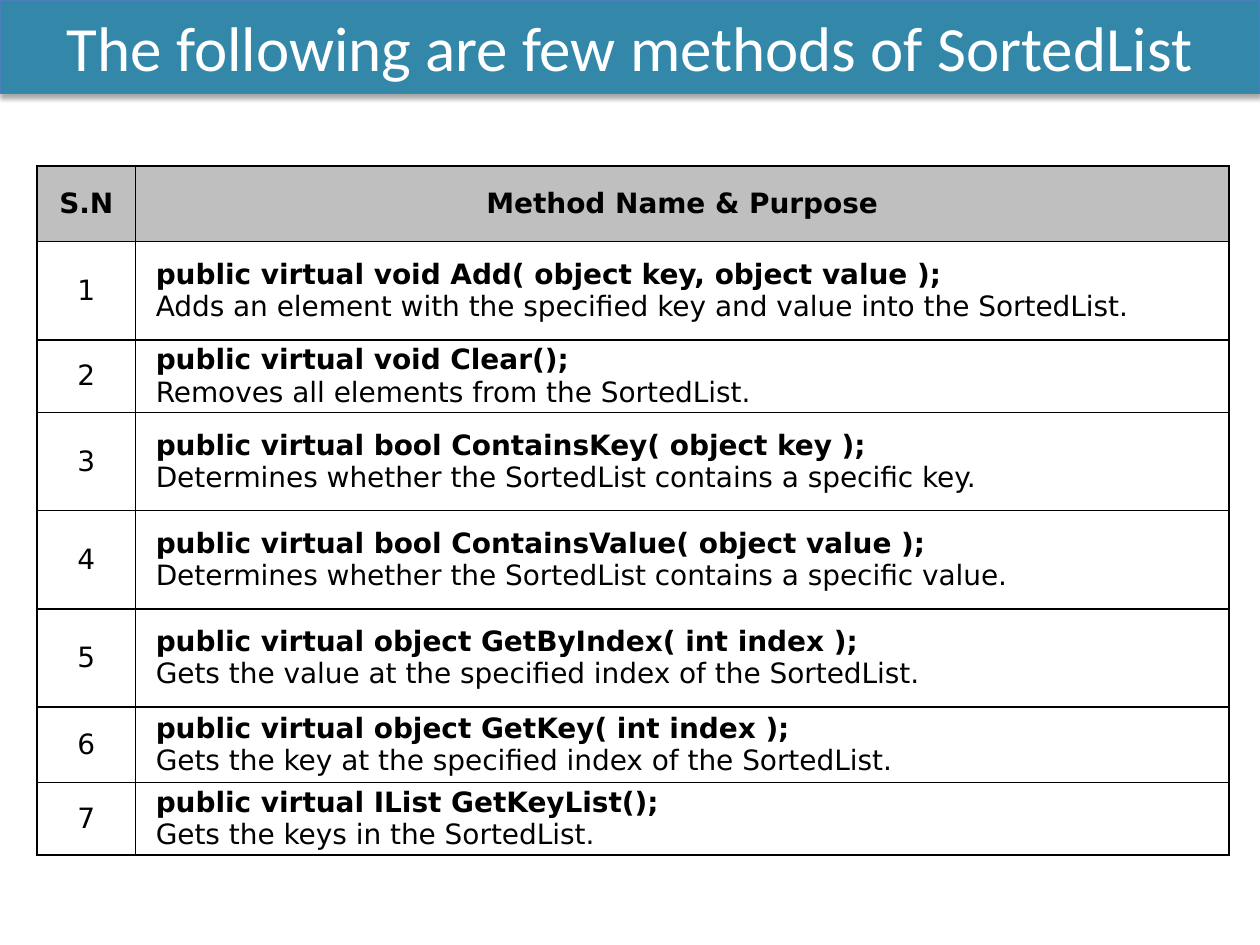
import pptx
import pptx.dml.color
import pptx.enum.shapes
import pptx.enum.text
import pptx.oxml
import pptx.oxml.ns
import pptx.util

Cm = pptx.util.Cm
ALIGN = pptx.enum.text.PP_ALIGN
MIDDLE = pptx.enum.text.MSO_ANCHOR.MIDDLE

COLORS = {
    "banner": "3388A9",
    "banner_line": "4B7EBC",
    "header": "BFBFBF",
    "text": "000000",
    "title": "FFFFFF",
    "border": "000000",
    "shadow": "000000",
}
TITLE_FONT = {"name": "Calibri", "size": pptx.util.Pt(36), "bold": False}
BODY_FONT = {"name": "DejaVu Sans", "size": pptx.util.Pt(16), "bold": False}
STRONG_FONT = {**BODY_FONT, "bold": True}
CELL_FORMAT = {
    "vertical_anchor": MIDDLE,
    "margin_left": Cm(0.08),
    "margin_right": Cm(0.08),
    "margin_top": Cm(0.08),
    "margin_bottom": Cm(0.08),
}
PLAIN_TABLE = {"first_row": False, "horz_banding": False}
TEXT_INDENT = Cm(0.33)
NUMBER_WIDTH = 1.98
HEADER_HEIGHT = 1.52

TITLE = "The following are few methods of SortedList"
HEADINGS = ["S.N", "Method Name & Purpose"]
METHODS = [
    ("public virtual void Add( object key, object value );",
     "Adds an element with the specified key and value into the SortedList.", 1.98),
    ("public virtual void Clear();",
     "Removes all elements from the SortedList.", 1.46),
    ("public virtual bool ContainsKey( object key );",
     "Determines whether the SortedList contains a specific key.", 1.98),
    ("public virtual bool ContainsValue( object value );",
     "Determines whether the SortedList contains a specific value.", 1.98),
    ("public virtual object GetByIndex( int index );",
     "Gets the value at the specified index of the SortedList.", 1.98),
    ("public virtual object GetKey( int index );",
     "Gets the key at the specified index of the SortedList.", 1.52),
    ("public virtual IList GetKeyList();",
     "Gets the keys in the SortedList.", 1.46),
]


def rgb(name):
    return pptx.dml.color.RGBColor.from_string(COLORS[name])


def apply_format(target, values):
    for name, value in values.items():
        setattr(target, name, value)


def add_run(paragraph, text, font, color):
    run = paragraph.add_run()
    run.text = text
    apply_format(run.font, font)
    run.font.color.rgb = rgb(color)


def add_borders(cell):
    properties = cell._tc.get_or_add_tcPr()
    for side in ("lnL", "lnR", "lnT", "lnB"):
        properties.append(pptx.oxml.parse_xml(
            f'<a:{side} {pptx.oxml.ns.nsdecls("a")} w="12700"><a:solidFill>'
            f'<a:srgbClr val="{COLORS["border"]}"/></a:solidFill></a:{side}>'))


def fill_cell(cell, lines, alignment=ALIGN.CENTER, fill=None):
    apply_format(cell, CELL_FORMAT)
    add_borders(cell)
    if fill:
        cell.fill.solid()
        cell.fill.fore_color.rgb = rgb(fill)
    else:
        cell.fill.background()
    paragraph = cell.text_frame.paragraphs[0]
    paragraph.alignment = alignment
    if alignment == ALIGN.LEFT:
        paragraph._p.get_or_add_pPr().set("marL", str(TEXT_INDENT))
    for index, (text, font) in enumerate(lines):
        if index:
            paragraph.add_line_break()
        add_run(paragraph, text, font, "text")


def add_method_table(slide, left, top, width):
    heights = [HEADER_HEIGHT] + [height for _, _, height in METHODS]
    frame = slide.shapes.add_table(
        len(heights), 2, Cm(left), Cm(top), Cm(width), Cm(sum(heights)))
    table = frame.table
    apply_format(table, PLAIN_TABLE)
    for column, size in zip(table.columns, (NUMBER_WIDTH, width - NUMBER_WIDTH)):
        column.width = Cm(size)
    for row, height in zip(table.rows, heights):
        row.height = Cm(height)
    for column, heading in enumerate(HEADINGS):
        fill_cell(table.cell(0, column), [(heading, STRONG_FONT)], fill="header")
    for number, (signature, purpose, _) in enumerate(METHODS, start=1):
        fill_cell(table.cell(number, 0), [(str(number), BODY_FONT)])
        fill_cell(table.cell(number, 1),
                  [(signature, STRONG_FONT), (purpose, BODY_FONT)], ALIGN.LEFT)


def add_title_banner(slide, left, top, width, height):
    banner = slide.shapes.add_shape(
        pptx.enum.shapes.MSO_SHAPE.RECTANGLE, Cm(left), Cm(top), Cm(width), Cm(height))
    banner.fill.solid()
    banner.fill.fore_color.rgb = rgb("banner")
    banner.line.color.rgb = rgb("banner_line")
    banner.line.width = pptx.util.Pt(0.75)
    banner._element.spPr.append(pptx.oxml.parse_xml(
        f'<a:effectLst {pptx.oxml.ns.nsdecls("a")}>'
        '<a:outerShdw blurRad="39370" dist="22860" dir="5400000" rotWithShape="0">'
        f'<a:srgbClr val="{COLORS["shadow"]}"><a:alpha val="35000"/></a:srgbClr>'
        '</a:outerShdw></a:effectLst>'))
    apply_format(banner.text_frame, {"word_wrap": True, "vertical_anchor": MIDDLE})
    paragraph = banner.text_frame.paragraphs[0]
    paragraph.alignment = ALIGN.CENTER
    add_run(paragraph, TITLE, TITLE_FONT, "title")


def main():
    presentation = pptx.Presentation()
    apply_format(presentation, {"slide_width": Cm(25.4), "slide_height": Cm(19.05)})
    slide = presentation.slides.add_slide(presentation.slide_layouts[6])
    add_method_table(slide, 0.75, 3.35, 24.03)
    add_title_banner(slide, 0, 0, 25.4, 1.88)
    presentation.save("out.pptx")


if __name__ == "__main__":
    main()
